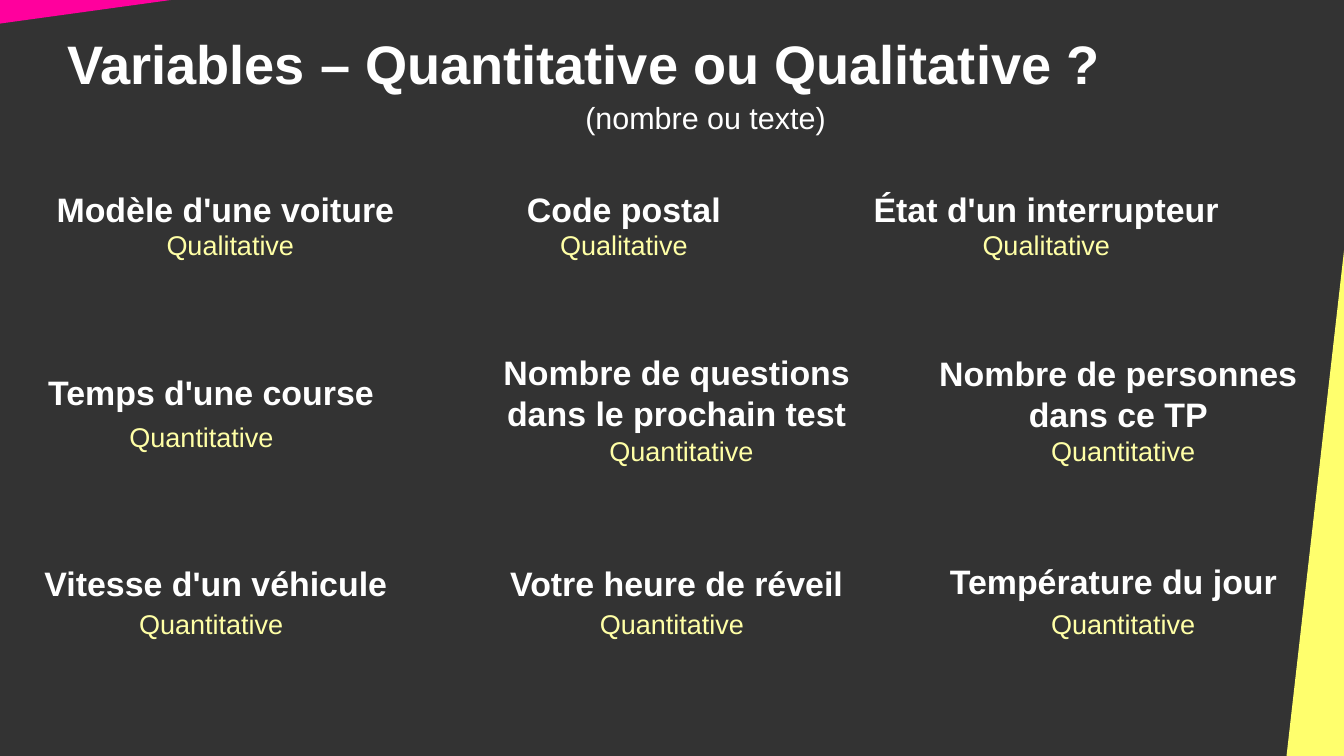
from pptx import Presentation
from pptx import util as u
from pptx.dml.color import RGBColor
from pptx.enum import shapes, text

Cm = u.Cm
DARK, WHITE, PINK, YELLOW, PALE = "333333", "FFFFFF", "FF009D", "FFFF6D", "FFFFA6"
CENTER, LEFT = text.PP_ALIGN.CENTER, text.PP_ALIGN.LEFT
ANSWER_WIDTH, ANSWER_HEIGHT = 7.2, 0.9

# Question, answer, question box (cm), answer offset within that box (cm)
VARIABLES = [
    ("Modèle d'une voiture", "Qualitative", (0.6, 3.8, 8.2, 1.04), (0.6, 0.83)),
    ("Code postal", "Qualitative", (9, 3.8, 8, 1.04), (0.4, 0.83)),
    ("État d'un interrupteur", "Qualitative", (17.8, 3.8, 8, 1.04), (0.4, 0.83)),
    ("Temps d'une course", "Quantitative", (0.4, 7.62, 8, 1.4), (0.2, 1)),
    ("Nombre de questions dans le prochain test", "Quantitative",
     (9.8, 7.2, 8.6, 1.83), (0.8, 1.73)),
    ("Nombre de personnes dans ce TP", "Quantitative",
     (19, 7.22, 8.6, 1.83), (0.8, 1.71)),
    ("Vitesse d'un véhicule", "Quantitative", (0.6, 11.6, 7.8, 1.04), (0.2, 0.93)),
    ("Votre heure de réveil", "Quantitative", (9, 11.6, 10.2, 1.4), (1.4, 0.93)),
    ("Température du jour", "Quantitative", (19.4, 11.55, 7.6, 1.04), (0.4, 0.98)),
]


def color(hex_string):
    return RGBColor.from_string(hex_string)


def add_label(slide, box, words, size, hex_color, bold=False, align=CENTER,
              margins=(0.25, 0.13)):
    frame = slide.shapes.add_textbox(*map(Cm, box)).text_frame
    frame.word_wrap = True
    frame.margin_left = frame.margin_right = Cm(margins[0])
    frame.margin_top = frame.margin_bottom = Cm(margins[1])
    line = frame.paragraphs[0]
    line.text = words
    line.alignment = align
    line.font.name = "Arial"
    line.font.size = u.Pt(size)
    line.font.bold = bold
    line.font.color.rgb = color(hex_color)


def add_corner(slide, box, rotation, hex_color):
    """Right triangle that fills the box after a quarter turn."""
    left, top, width, height = box
    shift = (width - height) / 2
    corner = slide.shapes.add_shape(
        shapes.MSO_SHAPE.RIGHT_TRIANGLE,
        Cm(left + shift), Cm(top - shift), Cm(height), Cm(width))
    corner.rotation = rotation
    corner.shadow.inherit = False
    corner.fill.solid()
    corner.fill.fore_color.rgb = color(hex_color)
    corner.line.fill.background()


def add_heading(slide, box):
    left, top, width, height = box
    add_label(slide, (left, top, width, 1.3),
              "Variables – Quantitative ou Qualitative\u00a0?", 32, WHITE,
              bold=True, align=LEFT, margins=(0, 0))
    add_label(slide, (left + 9.4, top + 1.3, 7.8, height - 1.3),
              "(nombre ou texte)", 18, WHITE)


def add_variable(slide, box, question, answer, offset):
    add_label(slide, box, question, 20, WHITE, bold=True)
    answer_box = (box[0] + offset[0], box[1] + offset[1], ANSWER_WIDTH, ANSWER_HEIGHT)
    add_label(slide, answer_box, answer, 16, PALE)


def main():
    deck = Presentation()
    deck.slide_width, deck.slide_height = Cm(28), Cm(15.75)
    slide = deck.slides.add_slide(deck.slide_layouts[6])
    slide.background.fill.solid()
    slide.background.fill.fore_color.rgb = color(DARK)

    # Coloured corners
    add_corner(slide, (26.8, 4.88, 1.24, 10.9), 270, YELLOW)
    add_corner(slide, (-0.42, -0.39, 6.81, 0.94), 90, PINK)

    # Title and subtitle
    add_heading(slide, (1.4, 0.64, 25.2, 2.26))

    # Variables with their type
    for question, answer, box, offset in VARIABLES:
        add_variable(slide, box, question, answer, offset)

    deck.save("out.pptx")


if __name__ == "__main__":
    main()
